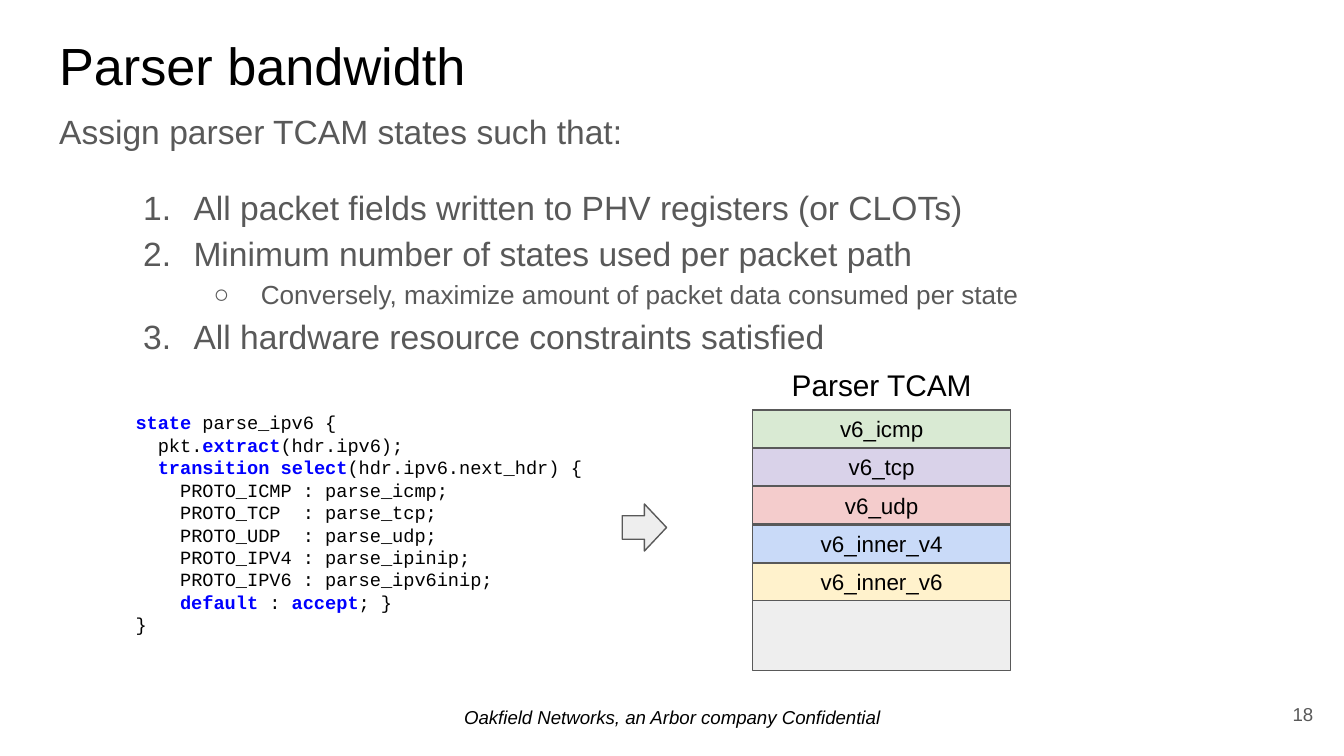
"""Build the slide about parser bandwidth."""
from typing import NamedTuple

from lxml.etree import SubElement
from pptx import Presentation
from pptx.dml.color import RGBColor
from pptx.enum.shapes import MSO_SHAPE
from pptx.enum.text import MSO_ANCHOR, MSO_AUTO_SIZE, PP_ALIGN
from pptx.oxml.ns import qn
from pptx.util import Emu, Pt

PIXEL = 4572
BLACK, GRAY, PALE, BLUE = "000000", "595959", "EEEEEE", "0000FF"


class Area(NamedTuple):
    """A rectangle in pixels."""
    left: int
    top: int
    width: int
    height: int


class Style(NamedTuple):
    """The look of a span of text."""
    size: int
    color: str = BLACK
    name: str = "Arial"
    bold: bool = False
    italic: bool = False


class Span(NamedTuple):
    """A stretch of text in one style."""
    text: str
    style: Style


class Item(NamedTuple):
    """A body paragraph with its bullet."""
    text: str
    size: int = 18
    level: int = 0
    bullet: str = "buAutoNum"
    value: str = "arabicPeriod"
    margin: int = 200
    indent: int = -75
    before: int = 0


class State(NamedTuple):
    """A parser state held in the TCAM."""
    name: str
    fill: str


CODE = Style(10, name="Courier New")
KEYWORD = CODE._replace(color=BLUE, bold=True)

ITEMS = [
    Item("Assign parser TCAM states such that:", bullet="buNone", value="", margin=0, indent=0),
    Item("All packet fields written to PHV registers (or CLOTs)", before=16),
    Item("Minimum number of states used per packet path"),
    Item("Conversely, maximize amount of packet data consumed per state",
         14, 1, "buChar", "○", 300, -70),
    Item("All hardware resource constraints satisfied"),
]
LISTING = [
    [Span("state", KEYWORD), Span(" parse_ipv6 {", CODE)],
    [Span("  pkt.", CODE), Span("extract", KEYWORD), Span("(hdr.ipv6);", CODE)],
    [Span("  ", CODE), Span("transition select", KEYWORD), Span("(hdr.ipv6.next_hdr) {", CODE)],
    [Span("    PROTO_ICMP : parse_icmp;", CODE)],
    [Span("    PROTO_TCP  : parse_tcp;", CODE)],
    [Span("    PROTO_UDP  : parse_udp;", CODE)],
    [Span("    PROTO_IPV4 : parse_ipinip;", CODE)],
    [Span("    PROTO_IPV6 : parse_ipv6inip;", CODE)],
    [Span("    ", CODE), Span("default", KEYWORD), Span(" : ", CODE),
     Span("accept", KEYWORD), Span("; }", CODE)],
    [Span("}", CODE)],
]
STATES = [
    State("v6_icmp", "D9EAD3"),
    State("v6_tcp", "D9D2E9"),
    State("v6_udp", "F4CCCC"),
    State("v6_inner_v4", "C9DAF8"),
    State("v6_inner_v6", "FFF2CC"),
]
TCAM = Area(1120, 610, 384, 388)
ROW_HEIGHT, ROW_PITCH = 56, 57


def rgb(color: str) -> RGBColor:
    """Turn a hex string into a colour."""
    return RGBColor.from_string(color)


def emu(area: Area) -> list[Emu]:
    """Turn pixels into EMU."""
    return [Emu(length * PIXEL) for length in area]


def add_span(para, span: Span) -> None:
    """Append a styled run to a paragraph."""
    run = para.add_run()
    run.text = span.text
    font = run.font
    font.size, font.name = Pt(span.style.size), span.style.name
    font.bold, font.italic = span.style.bold, span.style.italic
    font.color.rgb = rgb(span.style.color)


def write(box, lines: list[list[Span]], align=PP_ALIGN.LEFT, anchor=MSO_ANCHOR.TOP) -> None:
    """Fill a box with lines of spans."""
    frame = prepare(box, anchor)
    for index, line in enumerate(lines):
        para = frame.add_paragraph() if index else frame.paragraphs[0]
        para.alignment = align
        for span in line:
            add_span(para, span)


def prepare(box, anchor=MSO_ANCHOR.TOP):
    """Set the margins, wrapping and anchor of a box."""
    frame = box.text_frame
    frame.word_wrap, frame.auto_size = True, MSO_AUTO_SIZE.NONE
    frame.vertical_anchor = anchor
    frame.margin_left = frame.margin_right = Emu(20 * PIXEL)
    frame.margin_top = frame.margin_bottom = Emu(20 * PIXEL)
    return frame


def place(box, area: Area) -> None:
    """Move and resize a placeholder."""
    box.left, box.top, box.width, box.height = emu(area)


def write_items(box, items: list[Item]) -> None:
    """Fill the body with numbered and bulleted items."""
    frame = prepare(box)
    for index, item in enumerate(items):
        para = frame.add_paragraph() if index else frame.paragraphs[0]
        para.level, para.alignment = item.level, PP_ALIGN.LEFT
        para.line_spacing, para.space_before = 1.15, Pt(item.before)
        properties = para._p.get_or_add_pPr()
        properties.set("marL", str(item.margin * PIXEL))
        properties.set("indent", str(item.indent * PIXEL))
        color = SubElement(properties, qn("a:buClr"))
        SubElement(color, qn("a:srgbClr"), val=GRAY)
        SubElement(properties, qn("a:buFont"), typeface="Arial")
        bullet = SubElement(properties, qn(f"a:{item.bullet}"))
        if item.value:
            bullet.set("char" if item.bullet == "buChar" else "type", item.value)
        add_span(para, Span(item.text, Style(item.size, GRAY)))


def add_text(slide, area: Area, lines: list[list[Span]], align=PP_ALIGN.LEFT,
             anchor=MSO_ANCHOR.TOP) -> None:
    """Add a text box."""
    write(slide.shapes.add_textbox(*emu(area)), lines, align, anchor)


def add_block(slide, kind: MSO_SHAPE, area: Area, fill: str):
    """Add an outlined preset shape."""
    block = slide.shapes.add_shape(kind, *emu(area))
    block.shadow.inherit = False
    block.fill.solid()
    block.fill.fore_color.rgb = rgb(fill)
    block.line.color.rgb = rgb(GRAY)
    block.line.width = Pt(0.75)
    return block


def main() -> None:
    """Build and save the deck."""
    deck = Presentation()
    deck.slide_width, deck.slide_height = Emu(2000 * PIXEL), Emu(1125 * PIXEL)
    slide = deck.slides.add_slide(deck.slide_layouts[1])
    title, body = slide.placeholders
    place(title, Area(68, 30, 1864, 126))
    write(title, [[Span("Parser bandwidth", Style(28))]])
    place(body, Area(68, 136, 1864, 404))
    write_items(body, ITEMS)

    footer = Span("Oakfield Networks, an Arbor company Confidential", Style(10, italic=True))
    add_text(slide, Area(0, 1030, 2000, 64), [[footer]], PP_ALIGN.CENTER)
    add_text(slide, Area(1854, 1020, 120, 86), [[Span("18", Style(10, GRAY))]],
             PP_ALIGN.RIGHT, MSO_ANCHOR.MIDDLE)
    add_text(slide, Area(182, 592, 722, 388), LISTING)
    add_block(slide, MSO_SHAPE.RIGHT_ARROW, Area(926, 750, 66, 70), PALE)

    add_block(slide, MSO_SHAPE.RECTANGLE, TCAM, PALE)
    for index, state in enumerate(STATES):
        area = TCAM._replace(top=TCAM.top + index * ROW_PITCH, height=ROW_HEIGHT)
        row = add_block(slide, MSO_SHAPE.RECTANGLE, area, state.fill)
        write(row, [[Span(state.name, Style(12))]], PP_ALIGN.CENTER, MSO_ANCHOR.MIDDLE)
    add_text(slide, TCAM._replace(top=526, height=86), [[Span("Parser TCAM", Style(16))]],
             PP_ALIGN.CENTER)
    deck.save("out.pptx")


if __name__ == "__main__":
    main()
